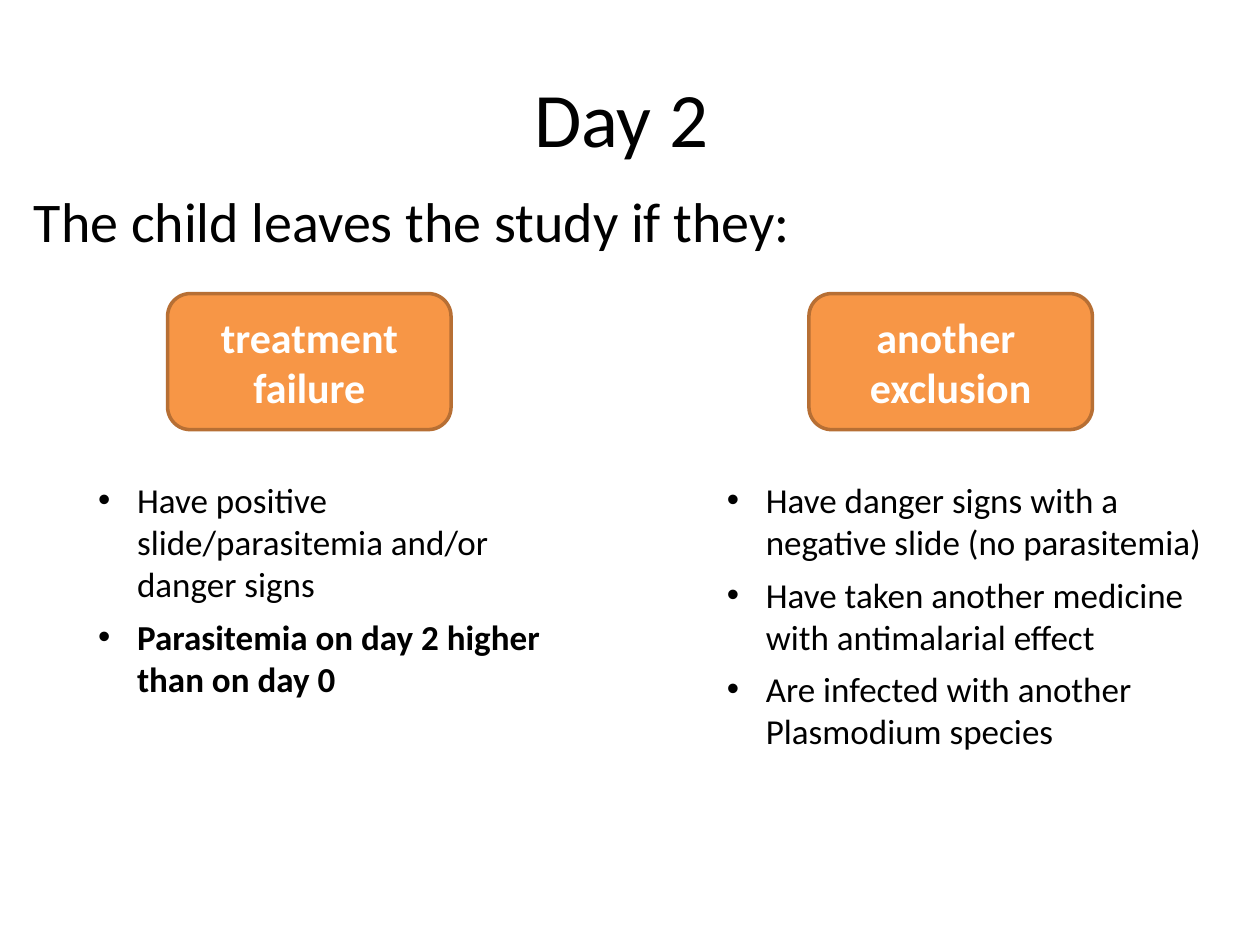
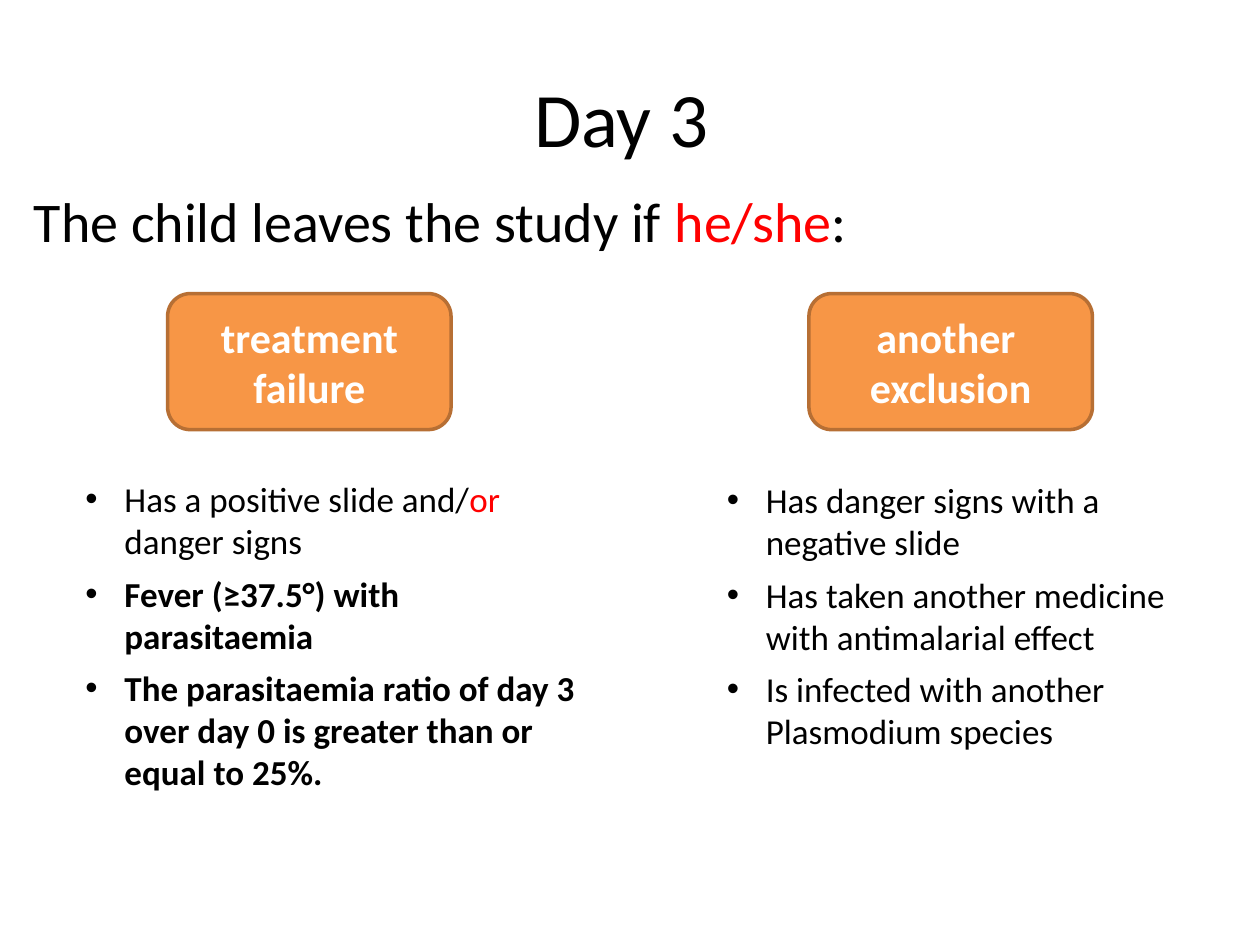
from dataclasses import dataclass

from lxml import etree
from pptx import Presentation
from pptx.dml.color import RGBColor
from pptx.enum import shapes, text
from pptx.oxml import ns
from pptx.util import Inches, Pt

BLACK = RGBColor(0x00, 0x00, 0x00)
WHITE = RGBColor(0xFF, 0xFF, 0xFF)
RED = RGBColor(0xFF, 0x00, 0x00)
ORANGE = RGBColor(0xF7, 0x96, 0x46)
BROWN = RGBColor(0xB7, 0x6F, 0x34)
FONT = "Calibri"
HANG = Inches(0.31)


@dataclass(frozen=True)
class Run:
    words: str
    color: RGBColor = BLACK
    bold: bool = False


Line = list[Run]


@dataclass(frozen=True)
class Area:
    left: float
    top: float
    width: float
    height: float

    def box(self) -> tuple:
        return tuple(Inches(n) for n in (self.left, self.top, self.width, self.height))


@dataclass(frozen=True)
class Reason:
    """A cause for leaving the study: its label lines and the label's left edge."""
    lines: list[str]
    left: float


@dataclass(frozen=True)
class Day:
    title: str
    lead: Line
    lists: list[tuple[Area, list[Line]]]


TITLE = Area(0.5, 0.3, 9, 1.25)
LEAD = Area(0.17, 1.43, 9, 0.95)
RIGHT = Area(5.67, 3.75, 4, 2.29)
REASONS = [
    Reason(["treatment failure"], 1.33),
    Reason(["another ", "exclusion"], 6.42),
]

DAYS = [
    Day("Day 2 ", [Run("The child leaves the study if they: ")], [
        (Area(0.68, 3.75, 4, 2.29), [
            [Run("Have positive slide/parasitemia and/or danger signs")],
            [Run("Parasitemia on day 2 higher than on day 0", bold=True)],
        ]),
        (RIGHT, [
            [Run("Have danger signs with a negative slide (no parasitemia)")],
            [Run("Have taken another medicine with antimalarial effect")],
            [Run("Are infected with another Plasmodium species")],
        ]),
    ]),
    Day("Day 3 ", [Run("The child leaves the study if "), Run("he/she", RED), Run(": ")], [
        (Area(0.58, 3.74, 4.24, 3.05), [
            [Run("Has a positive slide and/"), Run("or ", RED), Run("danger signs")],
            [Run("Fever (≥37.5°) with parasitaemia", bold=True)],
            [Run("The parasitaemia ratio of day 3 over day 0 is greater than or equal to 25%.",
                 bold=True)],
        ]),
        (RIGHT, [
            [Run("Has danger signs with a negative slide")],
            [Run("Has taken another medicine with antimalarial effect")],
            [Run("Is infected with another Plasmodium species")],
        ]),
    ]),
]


def add_text(slide, area: Area, lines: list[Line], size: int, center: bool = False,
             grow: bool = False) -> text.MSO_ANCHOR:
    """Add a wrapping text box and return its text frame."""
    frame = slide.shapes.add_textbox(*area.box()).text_frame
    frame.word_wrap = True
    if grow:
        frame.auto_size = text.MSO_AUTO_SIZE.SHAPE_TO_FIT_TEXT
    for i, line in enumerate(lines):
        para = frame.add_paragraph() if i else frame.paragraphs[0]
        para.alignment = text.PP_ALIGN.CENTER if center else text.PP_ALIGN.LEFT
        for item in line:
            run = para.add_run()
            run.text = item.words
            run.font.name = FONT
            run.font.size = Pt(size)
            run.font.bold = item.bold
            run.font.color.rgb = item.color
    return frame


def add_list(slide, area: Area, lines: list[Line]) -> None:
    frame = add_text(slide, area, lines, 20, grow=True)
    for para in frame.paragraphs:
        para.space_after = Pt(6)
        props = para._p.get_or_add_pPr()
        props.set("marL", str(HANG))
        props.set("indent", str(-HANG))
        etree.SubElement(props, ns.qn("a:buFont")).set("typeface", "Arial")
        etree.SubElement(props, ns.qn("a:buChar")).set("char", "•")


def add_label(slide, reason: Reason) -> None:
    area = Area(reason.left, 2.33, 2.25, 1.08)
    card = slide.shapes.add_shape(shapes.MSO_SHAPE.ROUNDED_RECTANGLE, *area.box())
    card.shadow.inherit = False
    card.fill.solid()
    card.fill.fore_color.rgb = ORANGE
    card.line.color.rgb = BROWN
    card.line.width = Pt(2)
    lines = [[Run(words, WHITE, True)] for words in reason.lines]
    add_text(slide, Area(reason.left, 2.42, 2.25, 0.91), lines, 24, center=True, grow=True)


def add_day(deck, day: Day) -> None:
    slide = deck.slides.add_slide(deck.slide_layouts[6])
    title = add_text(slide, TITLE, [[Run(day.title)]], 44, center=True)
    title.vertical_anchor = text.MSO_ANCHOR.MIDDLE
    lead = add_text(slide, LEAD, [day.lead], 32)
    lead.paragraphs[0].space_before = Pt(6.4)
    for reason in REASONS:
        add_label(slide, reason)
    for area, lines in day.lists:
        add_list(slide, area, lines)


def main() -> None:
    deck = Presentation()
    deck.slide_width = Inches(10)
    deck.slide_height = Inches(7.5)
    for day in DAYS:
        add_day(deck, day)
    deck.save("out.pptx")


if __name__ == "__main__":
    main()
